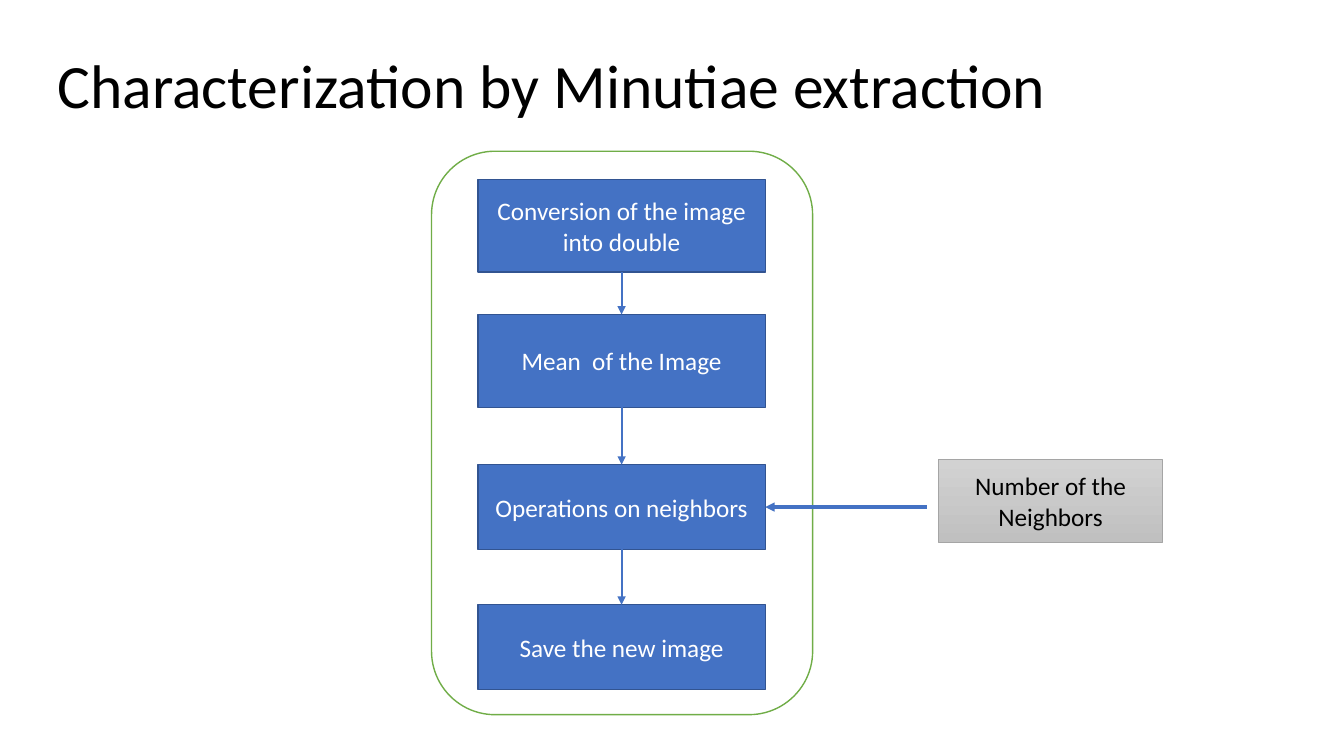
from lxml.etree import SubElement
from pptx import Presentation
from pptx.dml.color import RGBColor
from pptx.enum.shapes import MSO_CONNECTOR, MSO_SHAPE
from pptx.enum.text import MSO_ANCHOR, PP_ALIGN
from pptx.oxml.ns import qn
from pptx.util import Inches, Pt

hue = RGBColor.from_string
cell = Inches(0.1)  # the grid: 133.3 columns by 75 rows


def box(kind, spot, edge, width, text="", ink="FFFFFF"):
    shape = slide.shapes.add_shape(kind, *(round(n * cell) for n in spot))
    shape.shadow.inherit = False
    shape.fill.background()
    shape.line.color.rgb = hue(edge)
    shape.line.width = Pt(width)
    if text:
        frame = shape.text_frame
        frame.text = text
        frame.word_wrap = True
        frame.vertical_anchor = MSO_ANCHOR.MIDDLE
        para = frame.paragraphs[0]
        para.alignment = PP_ALIGN.CENTER
        font = para.runs[0].font
        font.name, font.size, font.color.rgb = "Calibri", Pt(18), hue(ink)
    return shape


def arrow(left, top, goal, side, width):
    link = slide.shapes.add_connector(
        MSO_CONNECTOR.STRAIGHT, left, top, left, top)
    link.end_connect(goal, side)
    link.line.color.rgb = hue("4472C4")
    link.line.width = Pt(width)
    SubElement(link.line._get_or_add_ln(), qn("a:tailEnd"), type="triangle")
    SubElement(link._element.spPr, qn("a:effectLst"))
    return link


deck = Presentation()
deck.slide_width, deck.slide_height = Inches(13.33), Inches(7.5)
slide = deck.slides.add_slide(deck.slide_layouts[5])

# Title
title = slide.shapes.title
title.left, title.top = round(4.7 * cell), round(1.5 * cell)
title.width, title.height = 115 * cell, round(14.5 * cell)
title.text_frame.text = "Characterization by Minutiae extraction"
title.text_frame.word_wrap = True
title.text_frame.vertical_anchor = MSO_ANCHOR.MIDDLE
head = title.text_frame.paragraphs[0]
head.alignment, head.line_spacing = PP_ALIGN.LEFT, 0.9
font = head.runs[0].font
font.name, font.size, font.color.rgb = "Calibri", Pt(44), hue("000000")

# Steps: top row, height in rows, wording
rows = [
    (17.8, 9.2, "Conversion of the image into double"),
    (31.2, 9.2, "Mean  of the Image"),
    (46.1, 8.4, "Operations on neighbors"),
    (60, 8.4, "Save the new image"),
]
steps = []
for top, tall, text in rows:
    step = box(MSO_SHAPE.RECTANGLE, (47.4, top, 28.5, tall), "325491", 1, text)
    step.fill.solid()
    step.fill.fore_color.rgb = hue("4472C4")
    steps.append(step)

# Input to the third step
side = box(MSO_SHAPE.RECTANGLE, (93.1, 45.6, 22.2, 8.2), "A5A5A5", 0.5,
           "Number of the Neighbors", "000000")
side.fill.gradient()
side.fill.gradient_angle = 270
for stop, tone in zip(side.fill.gradient_stops, ("D2D2D2", "C0C0C0")):
    stop.color.rgb = hue(tone)
for stop, place in zip(side.fill.gradient_stops, (0, 1)):
    stop.position = place

# Frame around the steps
box(MSO_SHAPE.ROUNDED_RECTANGLE, (42.8, 15, 37.8, 55.9), "70AD47", 1)

# Arrows
arrow(round(91.9 * cell), round(50.3 * cell), steps[2], 3, 2.25)
for last, step in zip(steps, steps[1:]):
    link = arrow(last.left, last.top, step, 0, 1.5)
    link.begin_connect(last, 2)

deck.save("out.pptx")
